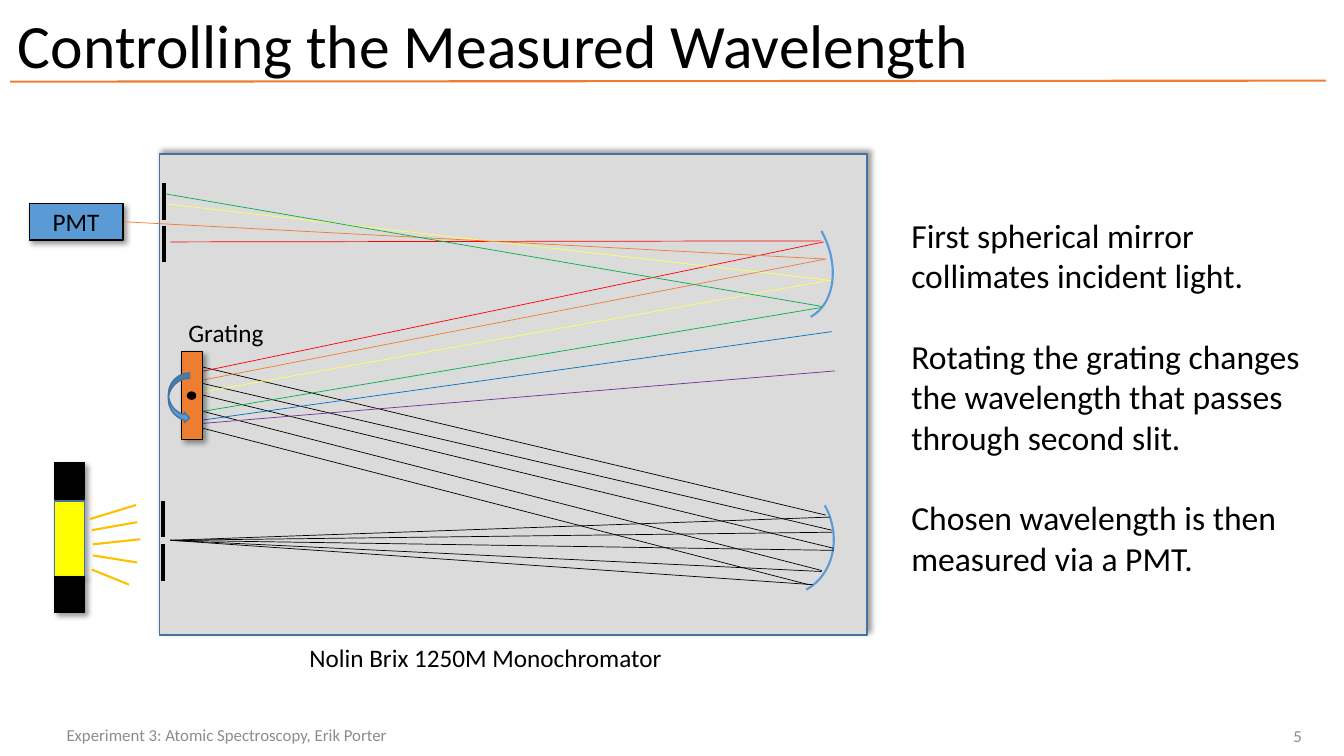
import pptx
import pptx.util
import pptx.dml.color
import pptx.enum.shapes
import pptx.enum.text
import pptx.oxml.ns
import lxml.etree

Inches = pptx.util.Inches
Pt = pptx.util.Pt
RGBColor = pptx.dml.color.RGBColor
SHAPE = pptx.enum.shapes.MSO_SHAPE
ALIGN = pptx.enum.text.PP_ALIGN
ANCHOR = pptx.enum.text.MSO_ANCHOR
qn = pptx.oxml.ns.qn

BLACK = RGBColor(0x00, 0x00, 0x00)
GRAY = RGBColor(0x8C, 0x8C, 0x8C)
HOUSING = RGBColor(0xDB, 0xDB, 0xDB)
BLUE = RGBColor(0x5B, 0x9B, 0xD5)
DARK_BLUE = RGBColor(0x43, 0x73, 0x9E)
ORANGE = RGBColor(0xED, 0x7D, 0x31)
RED = RGBColor(0xFF, 0x00, 0x00)
PALE_YELLOW = RGBColor(0xFF, 0xFF, 0x5B)
YELLOW = RGBColor(0xFF, 0xFF, 0x00)
GREEN = RGBColor(0x00, 0xB0, 0x50)
RAY_BLUE = RGBColor(0x00, 0x70, 0xC0)
VIOLET = RGBColor(0x70, 0x30, 0xA0)
GOLD = RGBColor(0xFF, 0xC0, 0x00)


def write_text(frame, paragraphs, size=18, color=BLACK, align=ALIGN.LEFT,
               anchor=ANCHOR.TOP, line_spacing=None, gap=0, font="Calibri"):
    frame.word_wrap = True
    frame.vertical_anchor = anchor
    for index, words in enumerate(paragraphs):
        paragraph = frame.add_paragraph() if index else frame.paragraphs[0]
        paragraph.alignment = align
        if line_spacing:
            paragraph.line_spacing = line_spacing
        if index:
            paragraph.space_before = Pt(gap)
        run = paragraph.add_run()
        run.text = words
        run.font.name = font
        run.font.size = Pt(size)
        run.font.color.rgb = color


class OpticsSlide:
    ray_width = 0.5
    slit_width = 3

    def __init__(self, deck):
        self.shapes = deck.slides.add_slide(deck.slide_layouts[6]).shapes

    def text(self, box, *paragraphs, **style):
        label = self.shapes.add_textbox(*map(Inches, box))
        write_text(label.text_frame, paragraphs, **style)

    def line(self, start, end, color=BLACK, width=ray_width):
        ray = self.shapes.add_connector(
            pptx.enum.shapes.MSO_CONNECTOR.STRAIGHT, *map(Inches, start + end))
        ray.line.color.rgb = color
        ray.line.width = Pt(width)
        lxml.etree.SubElement(ray._element.spPr, qn("a:effectLst"))

    def slit(self, x, *tops):
        for top in tops:
            self.line((x, top), (x, top + 0.36), width=self.slit_width)

    def shape(self, kind, box, fill=None, outline=BLACK, width=1,
              rotation=0, shadow_angle=None):
        part = self.shapes.add_shape(kind, *map(Inches, box))
        part.rotation = rotation
        if fill is None:
            part.fill.background()
        else:
            part.fill.solid()
            part.fill.fore_color.rgb = fill
        part.line.color.rgb = outline
        part.line.width = Pt(width)
        part.shadow.inherit = False
        if shadow_angle is not None:
            self.cast_shadow(part, shadow_angle)
        return part

    def cast_shadow(self, part, angle):
        effects = part._element.spPr.find(qn("a:effectLst"))
        shadow = lxml.etree.SubElement(
            effects, qn("a:outerShdw"), blurRad=str(Pt(4)), dist=str(Pt(3)),
            dir=str(angle * 60000), algn="ctr", rotWithShape="0")
        tint = lxml.etree.SubElement(shadow, qn("a:srgbClr"), val=str(BLACK))
        lxml.etree.SubElement(tint, qn("a:alpha"), val="40000")

    def block(self, box, fill, outline=BLACK, shadow_angle=45):
        return self.shape(SHAPE.RECTANGLE, box, fill, outline,
                          shadow_angle=shadow_angle)

    def mirror(self, box):
        self.shape(SHAPE.ARC, box, outline=BLUE, width=1.5, rotation=61.2)


def draw_entrance_optics(slide):
    slide.slit(1.62, 4.97, 5.4)
    slide.mirror((7.04, 4.72, 1.29, 1.13))
    for hit in ((8.06, 5.8), (8.27, 5.46), (8.23, 5.13), (8.15, 5.67), (8.25, 5.28)):
        slide.line((1.69, 5.36), hit)
    for grating_point, mirror_point in (
            ((1.92, 3.62), (8.19, 5.11)), ((2.01, 3.92), (8.27, 5.44)),
            ((1.94, 4.23), (8.02, 5.8)), ((1.95, 3.79), (8.25, 5.26)),
            ((1.97, 4.07), (8.15, 5.66))):
        slide.line(grating_point, mirror_point)


def draw_dispersed_rays(slide):
    for start, end, color in (
            ((1.93, 3.7), (8.17, 2.4), RED),
            ((1.86, 3.8), (8.19, 2.57), ORANGE),
            ((1.89, 3.91), (8.23, 2.78), PALE_YELLOW),
            ((1.9, 4.1), (8.15, 3.05), GREEN),
            ((1.92, 4.18), (8.25, 3.29), RAY_BLUE),
            ((1.9, 4.21), (8.28, 3.68), VIOLET)):
        slide.line(start, end, color)


def draw_exit_optics(slide):
    slide.mirror((7.01, 2.03, 1.39, 1.01))
    pmt = slide.block((0.29, 2.02, 0.93, 0.36), BLUE)
    write_text(pmt.text_frame, ["PMT"], align=ALIGN.CENTER, anchor=ANCHOR.MIDDLE)
    for start, end, color in (
            ((1.69, 2.4), (8.15, 2.39), RED),
            ((1.62, 2.02), (8.23, 2.78), PALE_YELLOW),
            ((1.23, 2.2), (8.19, 2.57), ORANGE),
            ((1.62, 1.92), (8.15, 3.04), GREEN)):
        slide.line(start, end, color)
    slide.slit(1.63, 1.82, 2.24)


def draw_grating(slide):
    slide.text((1.77, 3.1, 1.1, 0.4), "Grating")
    slide.block((1.8, 3.49, 0.21, 0.87), ORANGE)
    slide.shape(SHAPE.OVAL, (1.86, 3.89, 0.08, 0.07), BLACK)
    slide.shape(SHAPE.CURVED_RIGHT_ARROW, (1.67, 3.7, 0.21, 0.5), BLUE, DARK_BLUE)


def draw_lamp(slide):
    for top, height, fill, outline in (
            (4.59, 0.36, BLACK, BLACK), (4.97, 0.75, YELLOW, DARK_BLUE),
            (5.72, 0.36, BLACK, BLACK)):
        slide.block((0.54, top, 0.3, height), fill, outline)
    for start, end in (
            ((0.89, 5.15), (1.35, 5.01)), ((0.91, 5.26), (1.36, 5.18)),
            ((0.92, 5.4), (1.39, 5.35)), ((0.92, 5.51), (1.36, 5.58)),
            ((0.91, 5.65), (1.28, 5.8))):
        slide.line(start, end, GOLD, 1.5)


def main():
    deck = pptx.Presentation()
    deck.slide_width = Inches(13.33)
    deck.slide_height = Inches(7.5)
    slide = OpticsSlide(deck)

    slide.line((0.1, 0.81), (13.15, 0.8), ORANGE, 1.5)
    slide.text((0.08, 0.01, 9.69, 0.94), "Controlling the Measured Wavelength",
               size=44, anchor=ANCHOR.MIDDLE, line_spacing=0.9)

    slide.block((1.58, 1.53, 7.02, 4.77), HOUSING, DARK_BLUE, shadow_angle=315)
    draw_entrance_optics(slide)
    draw_dispersed_rays(slide)
    draw_exit_optics(slide)
    draw_grating(slide)
    draw_lamp(slide)

    slide.text((2.97, 6.32, 4.5, 0.4), "Nolin Brix 1250M Monochromator")
    slide.text((8.94, 2.08, 4.21, 4.54),
               "First spherical mirror collimates incident light.",
               "Rotating the grating changes the wavelength that passes through second slit.",
               "Chosen wavelength is then measured via a PMT.",
               size=24, gap=29)
    slide.text((0, 7.09, 4.5, 0.4), "Experiment 3: Atomic Spectroscopy, Erik Porter",
               size=12, color=GRAY, align=ALIGN.CENTER, anchor=ANCHOR.MIDDLE)
    slide.text((10.01, 7.1, 3, 0.4), "5",
               size=12, color=GRAY, align=ALIGN.RIGHT, anchor=ANCHOR.MIDDLE)
    deck.save("out.pptx")


if __name__ == "__main__":
    main()
